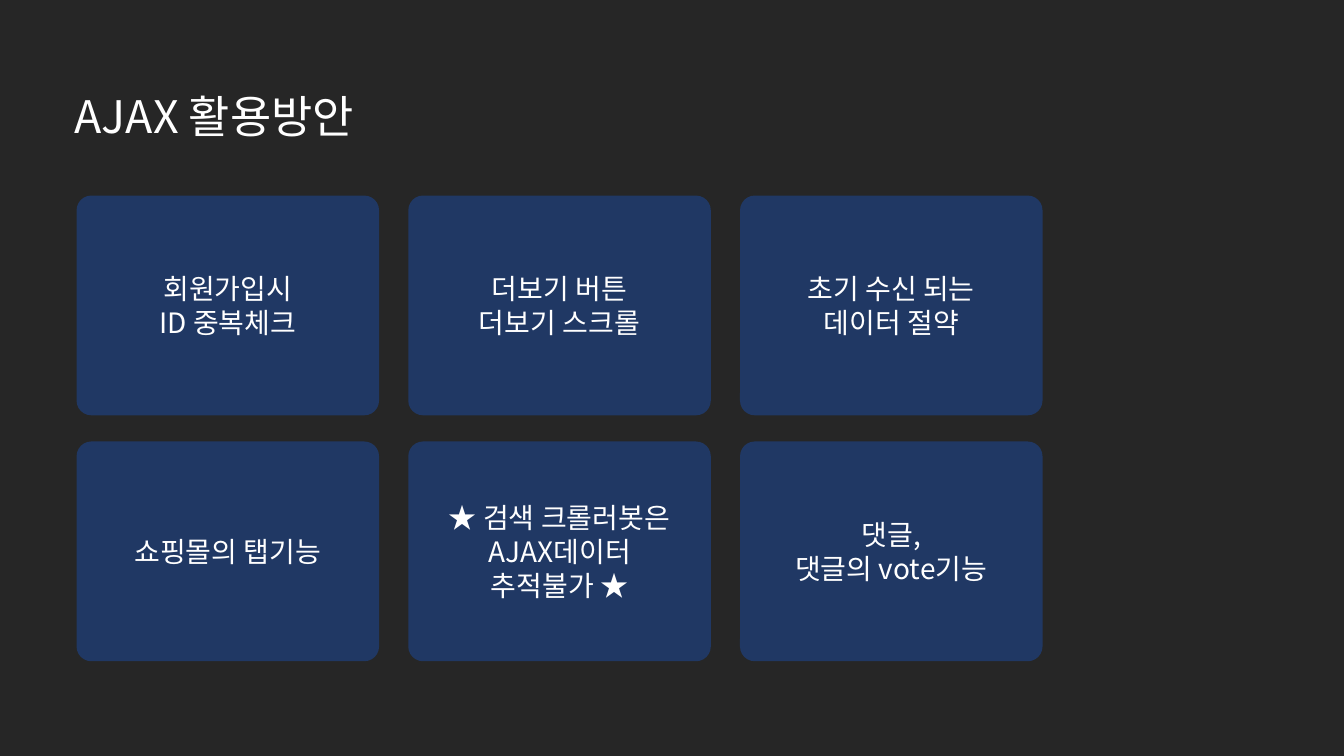
"""Builds the slide on uses of AJAX: a title above a grid of six cards."""
from dataclasses import dataclass

from lxml import etree
from pptx import Presentation
from pptx import util as u
from pptx.enum import shapes, text
from pptx.oxml import ns

COLOURS = {"background": "262626", "card": "203864", "text": "FFFFFF"}
FONT = "Noto Sans CJK KR"
SLIDE_WIDTH, SLIDE_HEIGHT = 13.33, 7.5
GRID_LEFT, GRID_TOP = 0.76, 1.94
COLUMN_STEP, ROW_STEP = 3.29, 2.44
CARD_WIDTH, CARD_HEIGHT = 3, 2.18
CARD_ROUNDING = 0.067


@dataclass(frozen=True)
class UseCase:
    column: int
    row: int
    lines: tuple[str, ...]


USE_CASES = (
    UseCase(0, 0, ("회원가입시", "ID 중복체크")),
    UseCase(1, 0, ("더보기 버튼", "더보기 스크롤")),
    UseCase(2, 0, ("초기 수신 되는", "데이터 절약")),
    UseCase(0, 1, ("쇼핑몰의 탭기능",)),
    UseCase(1, 1, ("★ 검색 크롤러봇은", "AJAX데이터", "추적불가 ★")),
    UseCase(2, 1, ("댓글,", "댓글의 vote기능")),
)


def colour(fill, name: str) -> None:
    fill.solid()
    fill.fore_color.rgb = u_rgb(COLOURS[name])


def u_rgb(code: str):
    from pptx.dml.color import RGBColor
    return RGBColor.from_string(code)


def write(frame, lines: tuple[str, ...], size: int, paragraph_format: dict, anchor) -> None:
    frame.word_wrap = True
    frame.vertical_anchor = anchor
    for index, line in enumerate(lines):
        paragraph = frame.paragraphs[0] if index == 0 else frame.add_paragraph()
        for key, value in paragraph_format.items():
            setattr(paragraph, key, value)
        run = paragraph.add_run()
        run.text = line
        for key, value in {"name": FONT, "size": u.Pt(size)}.items():
            setattr(run.font, key, value)
        colour(run.font.fill, "text")
        etree.SubElement(run.font._element, ns.qn("a:ea"), typeface=FONT)


def add_title(slide, title: str) -> None:
    box = slide.shapes.add_textbox(*map(u.Inches, (0.64, 0.49, 12.14, 0.97)))
    write(box.text_frame, (title,), 32, {"line_spacing": 1.5}, text.MSO_ANCHOR.BOTTOM)


def add_card(slide, use_case: UseCase) -> None:
    left = GRID_LEFT + use_case.column * COLUMN_STEP
    top = GRID_TOP + use_case.row * ROW_STEP
    card = slide.shapes.add_shape(
        shapes.MSO_SHAPE.ROUNDED_RECTANGLE,
        *map(u.Inches, (left, top, CARD_WIDTH, CARD_HEIGHT)),
    )
    card.adjustments[0] = CARD_ROUNDING
    card.shadow.inherit = False
    colour(card.fill, "card")
    card.line.fill.background()
    write(card.text_frame, use_case.lines, 20,
          {"alignment": text.PP_ALIGN.CENTER}, text.MSO_ANCHOR.MIDDLE)


def main() -> None:
    deck = Presentation()
    deck.slide_width, deck.slide_height = u.Inches(SLIDE_WIDTH), u.Inches(SLIDE_HEIGHT)
    slide = deck.slides.add_slide(deck.slide_layouts[6])
    colour(slide.background.fill, "background")
    add_title(slide, "AJAX 활용방안")
    for use_case in USE_CASES:
        add_card(slide, use_case)
    deck.save("out.pptx")


if __name__ == "__main__":
    main()
